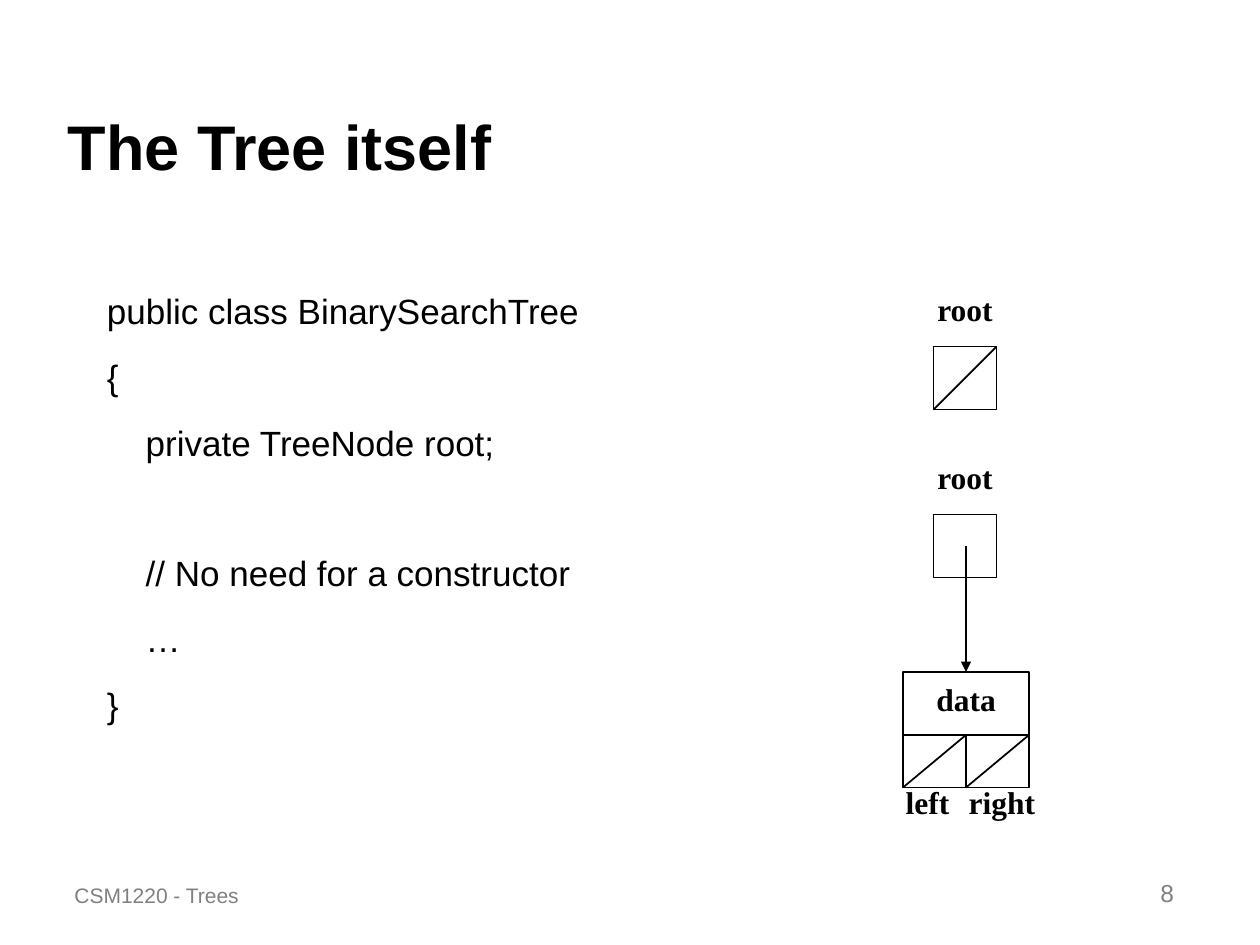
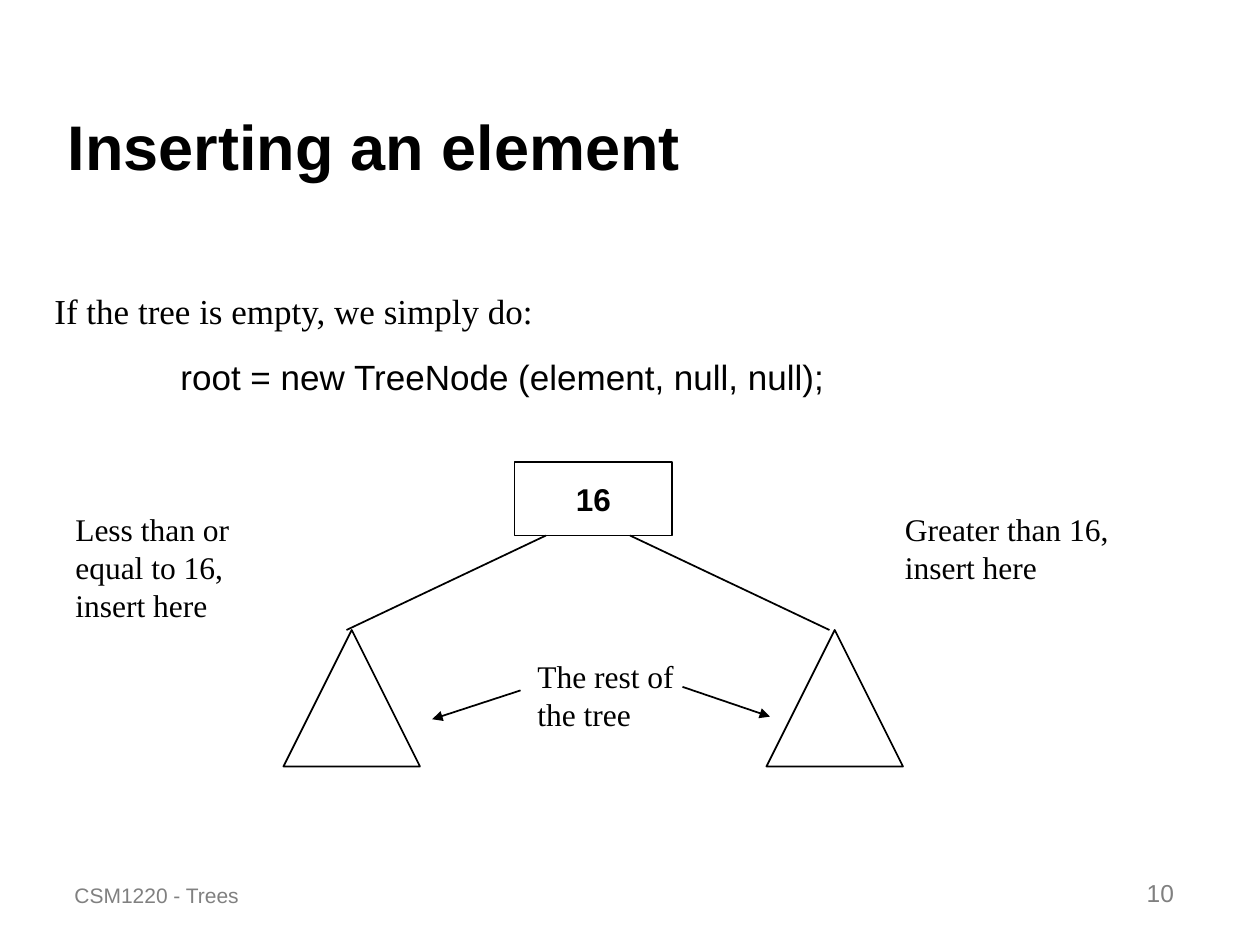
from lxml.etree import SubElement
from pptx import Presentation
from pptx.dml.color import RGBColor
from pptx.enum.shapes import MSO_CONNECTOR as Connector, MSO_SHAPE as Shape
from pptx.enum.text import MSO_ANCHOR as Anchor, MSO_AUTO_SIZE as AutoSize, PP_ALIGN as Align
from pptx.oxml.ns import qn
from pptx.util import Pt

# Shared look
SANS, SERIF = "Arial", "Times New Roman"
BLACK, GREY = "000000", "808080"
LINE_WIDTH = 1
LINE_GAP = 13.7
hex_colour = RGBColor.from_string


def write(frame, text, font=SANS, size=18, colour=BLACK, bold=False,
          align=Align.LEFT, anchor=Anchor.TOP, wrap=True, gap=0):
    """Fill a text frame; each line of text becomes one paragraph."""
    frame.text = text
    frame.word_wrap = wrap
    frame.auto_size = AutoSize.NONE
    frame.vertical_anchor = anchor
    for number, paragraph in enumerate(frame.paragraphs):
        paragraph.alignment = align
        paragraph.space_before = Pt(gap if number else 0)
        for run in paragraph.runs:
            run.font.name = font
            run.font.size = Pt(size)
            run.font.bold = bold
            run.font.color.rgb = hex_colour(colour)
    return frame


def draw_line(slide, start, end, arrow=False):
    """Draw a straight line, with an arrowhead at its end if wanted."""
    line = slide.shapes.add_connector(
        Connector.STRAIGHT, *[Pt(value) for value in (*start, *end)])
    line.line.color.rgb = hex_colour(BLACK)
    line.line.width = Pt(LINE_WIDTH)
    properties = line._element.spPr
    if arrow:
        SubElement(properties.find(qn("a:ln")), qn("a:tailEnd"), type="triangle")
    SubElement(properties, qn("a:effectLst"))


deck = Presentation()
deck.slide_width, deck.slide_height = Pt(720), Pt(540)

# Titles, footers and page numbers
slides = []
for heading, page in (("The Tree itself", "8"), ("Inserting an element", "10")):
    slide = deck.slides.add_slide(deck.slide_layouts[5])
    slides.append(slide)
    title = slide.shapes.title
    title.left, title.top, title.width, title.height = Pt(31.5), Pt(18), Pt(652.5), Pt(90)
    write(title.text_frame, heading, size=36, bold=True, anchor=Anchor.BOTTOM)
    course = slide.shapes.add_textbox(Pt(35.5), Pt(486), Pt(216), Pt(36))
    write(course.text_frame, "CSM1220 - Trees", size=12, colour=GREY, anchor=Anchor.BOTTOM)
    page_number = slide.shapes.add_textbox(Pt(528), Pt(486), Pt(150), Pt(36))
    write(page_number.text_frame, page, size=14, colour=GREY,
          align=Align.RIGHT, anchor=Anchor.BOTTOM)
tree_slide, insert_slide = slides

# Outlined boxes and subtrees
root_left, root_side = 533.5, 36
empty_root_top, full_root_top = 198, 294
node_left, node_top, node_width, node_height = 516, 384, 72, 66
subtree_lefts, subtree_top, subtree_side = (162, 438), 360, 78
outlines = [
    (tree_slide, Shape.RECTANGLE, root_left, empty_root_top, root_side, root_side, ""),
    (tree_slide, Shape.RECTANGLE, root_left, full_root_top, root_side, root_side, ""),
    (tree_slide, Shape.RECTANGLE, node_left, node_top, node_width, node_height, ""),
    (insert_slide, Shape.RECTANGLE, 294, 264, 90, 42, "16"),
]
for left in subtree_lefts:
    outlines.append((insert_slide, Shape.ISOSCELES_TRIANGLE, left, subtree_top,
                     subtree_side, subtree_side, ""))
for slide, kind, left, top, width, height, value in outlines:
    outline = slide.shapes.add_shape(kind, Pt(left), Pt(top), Pt(width), Pt(height))
    outline.shadow.inherit = False
    outline.fill.background()
    outline.line.color.rgb = hex_colour(BLACK)
    outline.line.width = Pt(LINE_WIDTH)
    if value:
        write(outline.text_frame, value, bold=True, align=Align.CENTER, anchor=Anchor.MIDDLE)

# Tree slide: class code, with a wider gap in front of the comment
class_code = tree_slide.shapes.add_textbox(Pt(54), Pt(162), Pt(324), Pt(250))
code_frame = write(class_code.text_frame, """public class BinarySearchTree
{
    private TreeNode root;
    // No need for a constructor
    …
}""", size=20, gap=LINE_GAP)
code_frame.paragraphs[3].space_before = Pt(2 * LINE_GAP + 23)

# Tree slide: slashes for null links, node dividers and the root pointer
node_middle, node_right = node_left + node_width / 2, node_left + node_width
links_top, node_bottom = node_top + 36, node_top + node_height
draw_line(tree_slide, (root_left, empty_root_top + root_side),
          (root_left + root_side, empty_root_top))
draw_line(tree_slide, (node_left, links_top), (node_right, links_top))
draw_line(tree_slide, (node_middle, links_top), (node_middle, node_bottom))
for link_left in (node_left, node_middle):
    draw_line(tree_slide, (link_left + node_width / 2, links_top), (link_left, node_bottom))
draw_line(tree_slide, (node_middle, full_root_top + root_side / 2),
          (node_middle, node_top), arrow=True)

# Tree slide: field labels
for label, left, top, width in (
        ("root", 528.5, empty_root_top - 36, 46), ("root", 528.5, full_root_top - 36, 46),
        ("data", 528, 385, 48), ("left", 510.5, 444, 39), ("right", 546.5, 444, 52.5)):
    field = tree_slide.shapes.add_textbox(Pt(left), Pt(top), Pt(width), Pt(29))
    write(field.text_frame, label, font=SERIF, bold=True, wrap=False)

# Insert slide: the empty-tree case
empty_case = insert_slide.shapes.add_textbox(Pt(24), Pt(162), Pt(666), Pt(68))
case_frame = write(empty_case.text_frame, "If the tree is empty, we simply do:\n"
                   "root = new TreeNode (element, null, null);", size=20, gap=LINE_GAP)
sentence, statement = case_frame.paragraphs
sentence.runs[0].font.name = SERIF
statement._p.get_or_add_pPr().set("marL", str(Pt(72)))

# Insert slide: branches, and arrows to the subtrees
draw_line(insert_slide, (312, 306), (198, subtree_top))
draw_line(insert_slide, (360, 306), (474, subtree_top))
draw_line(insert_slide, (297.5, 394.5), (247, 411), arrow=True)
draw_line(insert_slide, (390, 392.5), (440, 409.5), arrow=True)

# Insert slide: explanations
for explanation, left, top, width, height, wrap in (
        ("Less than or equal to 16,\vinsert here", 36, 288, 138, 72, True),
        ("Greater than 16,\vinsert here", 510, 288, 138, 50, True),
        ("The rest of\nthe tree", 300, 372, 92, 50, False)):
    note = insert_slide.shapes.add_textbox(Pt(left), Pt(top), Pt(width), Pt(height))
    write(note.text_frame, explanation, font=SERIF, wrap=wrap)

deck.save("out.pptx")
